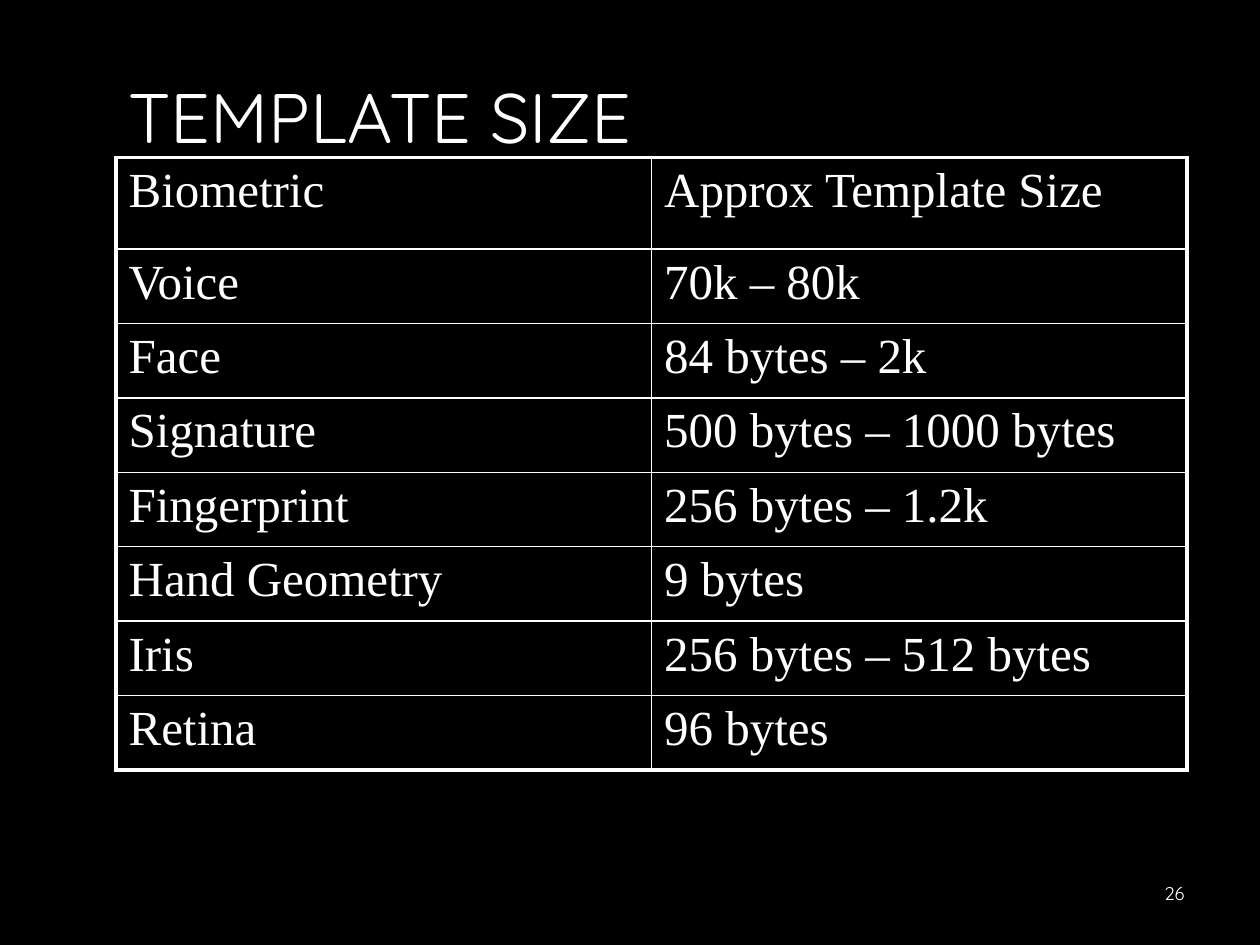
from typing import NamedTuple

from lxml.etree import SubElement
from pptx import Presentation
from pptx.dml.color import RGBColor
from pptx.enum.text import MSO_ANCHOR, PP_ALIGN
from pptx.oxml.ns import qn
from pptx.util import Cm, Pt

WHITE = "FFFFFF"
BLACK = "000000"
THICK, THIN = 2.25, 1


class Entry(NamedTuple):
    name: str
    size: str


ENTRIES = [
    Entry("Biometric", "Approx Template Size"),
    Entry("Voice", "70k – 80k"),
    Entry("Face", "84 bytes – 2k"),
    Entry("Signature", "500 bytes – 1000 bytes"),
    Entry("Fingerprint", "256 bytes – 1.2k"),
    Entry("Hand Geometry", "9 bytes"),
    Entry("Iris", "256 bytes – 512 bytes"),
    Entry("Retina", "96 bytes"),
]


def color(code: str) -> RGBColor:
    return RGBColor.from_string(code)


def write(frame, text: str, font: str, size: float):
    """Add one white run and return its paragraph."""
    par = frame.paragraphs[0]
    run = par.add_run()
    run.text = text
    run.font.name = font
    run.font.size = Pt(size)
    run.font.color.rgb = color(WHITE)
    return par


def border(cell, side: str, width: float) -> None:
    props = cell._tc.get_or_add_tcPr()
    line = SubElement(props, qn(f"a:ln{side}"), w=str(Pt(width)))
    fill = SubElement(line, qn("a:solidFill"))
    SubElement(fill, qn("a:srgbClr"), val=WHITE)


def add_title(slide, text: str) -> None:
    title = slide.shapes.title
    title.left, title.top = Cm(2.34), Cm(0.43)
    title.width, title.height = Cm(21.31), Cm(4.01)
    frame = title.text_frame
    frame.vertical_anchor = MSO_ANCHOR.MIDDLE
    par = write(frame, text, "Quicksand", 40)
    par.alignment = PP_ALIGN.LEFT
    par.line_spacing = 0.9


def add_grid(slide, entries: list[Entry]) -> None:
    """Draw the table with a thick outer frame and thin inner lines."""
    rows, cols = len(entries), len(Entry._fields)
    shape = slide.shapes.add_table(
        rows, cols, Cm(2.34), Cm(3.17), Cm(21.59), Cm(12.32))
    table = shape.table
    table.first_row = table.horz_banding = False
    for r, entry in enumerate(entries):
        table.rows[r].height = Cm(1.5 if r else 1.85)
        for c, text in enumerate(entry):
            cell = table.cell(r, c)
            edges = {"L": c == 0, "R": c == cols - 1,
                     "T": r == 0, "B": r == rows - 1}
            for side, outer in edges.items():
                border(cell, side, THICK if outer else THIN)
            cell.fill.solid()
            cell.fill.fore_color.rgb = color(BLACK)
            par = write(cell.text_frame, text, "Times New Roman", 28)
            par.space_before = Pt(1)


def add_number(slide, text: str) -> None:
    box = slide.shapes.add_textbox(Cm(18.21), Cm(17.35), Cm(5.92), Cm(1.32))
    frame = box.text_frame
    frame.word_wrap = True
    frame.vertical_anchor = MSO_ANCHOR.MIDDLE
    write(frame, text, "Quicksand", 10.5).alignment = PP_ALIGN.RIGHT


def main() -> None:
    deck = Presentation()
    deck.slide_width, deck.slide_height = Cm(25.4), Cm(19.05)
    slide = deck.slides.add_slide(deck.slide_layouts.get_by_name("Title Only"))
    back = slide.background.fill
    back.solid()
    back.fore_color.rgb = color(BLACK)
    add_title(slide, "TEMPLATE SIZE")
    add_grid(slide, ENTRIES)
    add_number(slide, "26")
    deck.save("out.pptx")


if __name__ == "__main__":
    main()
